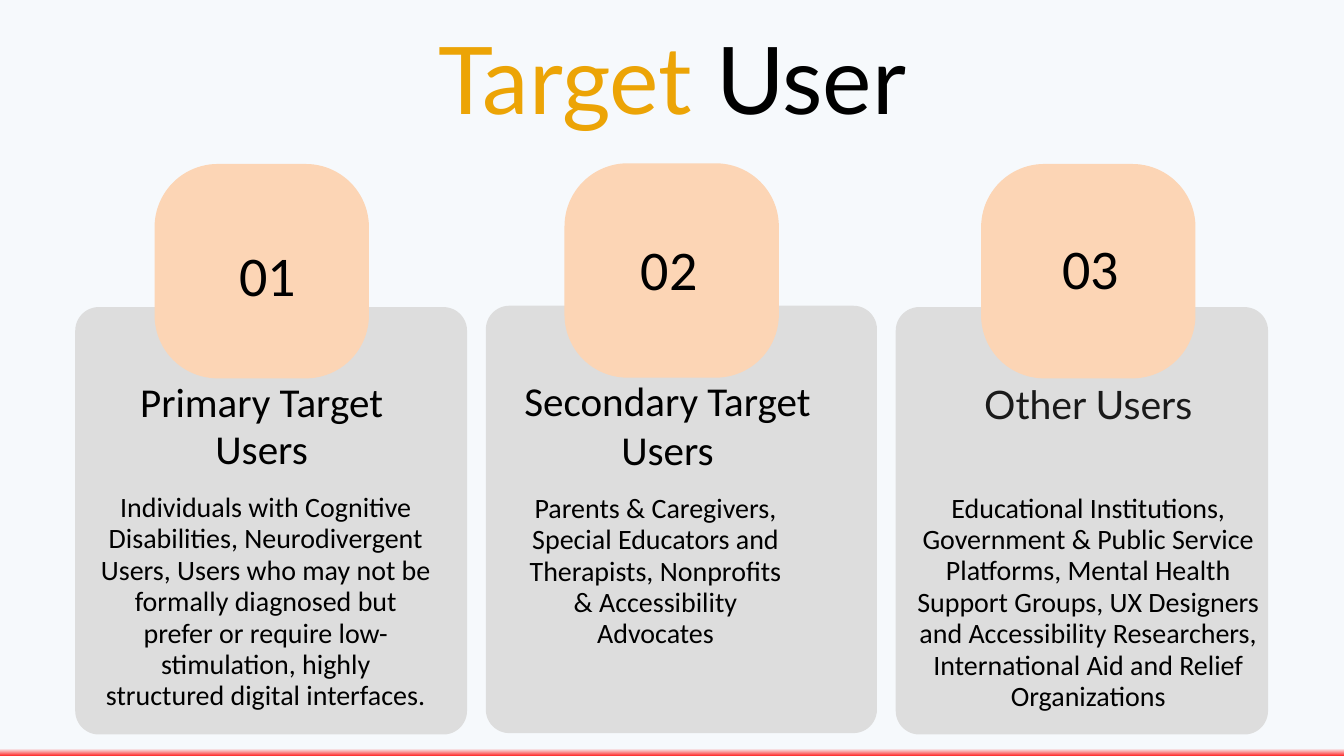
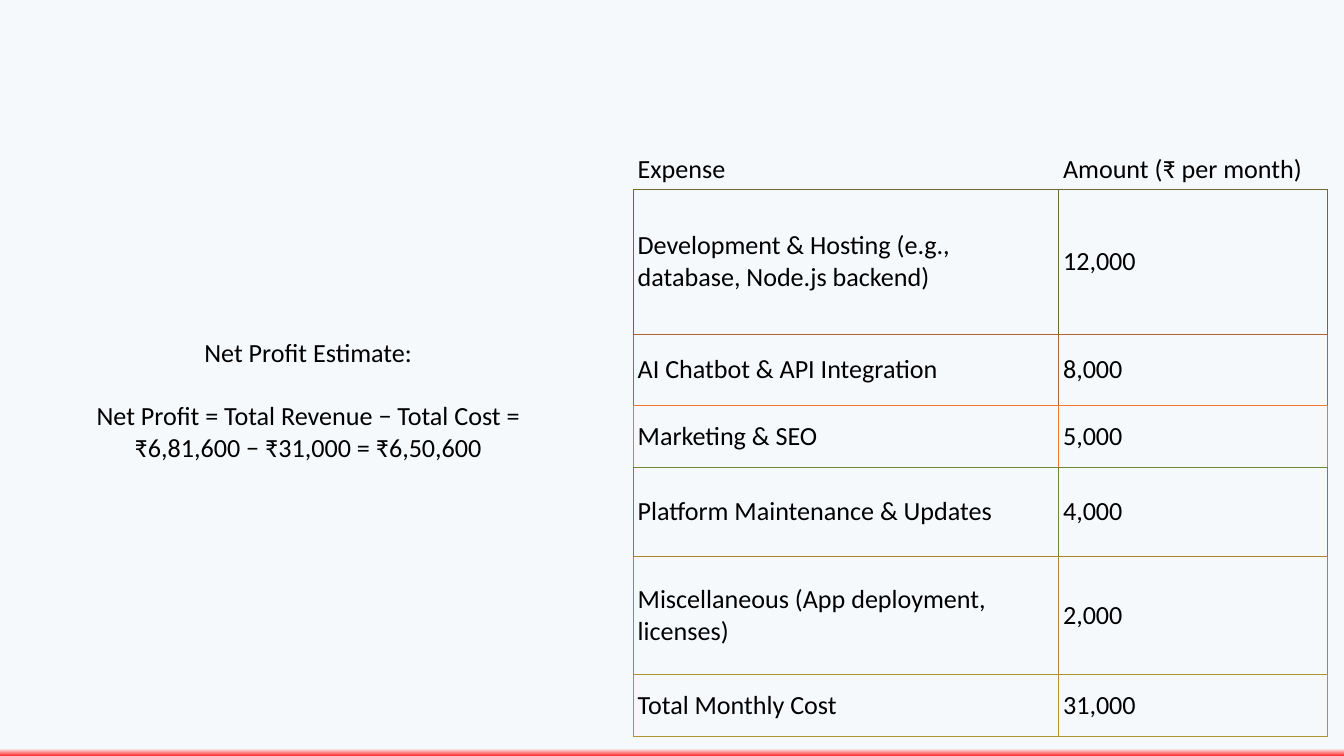
from lxml.etree import SubElement
from pptx import Presentation
from pptx.dml.color import RGBColor
from pptx.enum.shapes import MSO_SHAPE as Shape
from pptx.enum.text import MSO_ANCHOR as Anchor, MSO_AUTO_SIZE as AutoSize, PP_ALIGN as Align
from pptx.oxml.ns import qn
from pptx.util import Pt

PX = 9144  # EMU, 100 px to the inch
SLIDE_SIZE = (2000, 1125)
TITLE_ONLY, BLANK = 5, 6
NO_TABLE_STYLE = "{2D5ABB26-0587-4C30-8999-92F81FD0307C}"

PALE = RGBColor(0xF6, 0xF9, 0xFC)
RED = RGBColor(0xFF, 0x29, 0x29)
GOLD = RGBColor(0xEC, 0xA4, 0x06)
GRAY = RGBColor(0xDD, 0xDD, 0xDD)
PEACH = RGBColor(0xFC, 0xD5, 0xB5)
BLACK = RGBColor(0, 0, 0)
CHARCOAL = RGBColor(0x1A, 0x1A, 0x1A)

TITLE = [("Target ", GOLD), ("User", BLACK)]
TITLE_BOX = (238, 60, 1525, 142)

TILE_SIZE, NUMBER_SIZE = (319, 319), (162, 111)
CARD_HEIGHT, CARD_RADIUS, TILE_RADIUS = 636, 35, 94
CARDS = [
    {
        "card": (112, 457, 583), "tile": (230, 244),
        "number": "01", "number_at": (346, 353),
        "heading": ["Primary Target", "Users"], "heading_box": (123, 563, 533, 140),
        "heading_style": {"size": 44, "spacing": 50.4},
        "body": "Individuals with Cognitive Disabilities, Neurodivergent Users, Users who may "
                "not be formally diagnosed but prefer or require low-stimulation, highly "
                "structured digital interfaces.",
        "body_box": (150, 732, 491, 334),
    },
    {
        "card": (723, 455, 582), "tile": (840, 243),
        "number": "02", "number_at": (944, 344),
        "heading": ["Secondary Target Users"], "heading_box": (730, 559, 527, 148),
        "heading_style": {"size": 44},
        "body": "Parents & Caregivers, Special Educators and Therapists, Nonprofits & "
                "Accessibility Advocates",
        "body_box": (776, 733, 399, 238),
    },
    {
        "card": (1333, 457, 554), "tile": (1460, 244),
        "number": "03", "number_at": (1571, 343),
        "heading": ["Other Users"], "heading_box": (1376, 566, 487, 70),
        "heading_style": {"size": 42, "spacing": 50.4, "font": "Lato", "color": CHARCOAL},
        "body": "Educational Institutions, Government & Public Service Platforms, Mental "
                "Health Support Groups, UX Designers and Accessibility Researchers, "
                "International Aid and Relief Organizations",
        "body_box": (1353, 733, 533, 333),
    },
]

PROFIT = [
    "Net Profit Estimate:",
    "Net Profit = Total Revenue − Total Cost = ₹6,81,600 − ₹31,000 = ₹6,50,600",
]
PROFIT_BOX = (100, 496, 717, 199)

TABLE_AT = (942, 221)
COLUMN_WIDTHS = [633, 400]
# expense, amount, row height, border colour
EXPENSES = [
    ("Expense", "Amount (₹ per month)", 61, None),
    ("Development & Hosting (e.g., database, Node.js backend)", "12,000", 216, "706931"),
    ("AI Chatbot & API Integration", "8,000", 105, "B06331"),
    ("Marketing & SEO", "5,000", 92, "F07831"),
    ("Platform Maintenance & Updates", "4,000", 133, "708831"),
    ("Miscellaneous (App deployment, licenses)", "2,000", 175, "B08331"),
    ("Total Monthly Cost", "31,000", 93, "B09331"),
]


def emu(*lengths):
    return [length * PX for length in lengths]


def set_insets(target, horizontal, vertical):
    target.margin_left = target.margin_right = horizontal * PX
    target.margin_top = target.margin_bottom = vertical * PX


def style_paragraph(paragraph, size, font="Calibri", color=BLACK, align=None, spacing=None):
    paragraph.font.size = Pt(size)
    paragraph.font.name = font
    paragraph.font.color.rgb = color
    paragraph.alignment = align
    if spacing:
        paragraph.line_spacing = Pt(spacing)


def add_text(slide, box, lines, insets=(0, 0), **style):
    frame = slide.shapes.add_textbox(*emu(*box)).text_frame
    frame.word_wrap = True
    frame.auto_size = AutoSize.SHAPE_TO_FIT_TEXT
    set_insets(frame, *insets)
    frame.text = "\n".join(lines)
    for paragraph in frame.paragraphs:
        style_paragraph(paragraph, **style)
    return frame


def add_rounded(slide, box, radius, color):
    shape = slide.shapes.add_shape(Shape.ROUNDED_RECTANGLE, *emu(*box))
    shape.adjustments[0] = radius / min(box[2:])
    shape.shadow.inherit = False
    shape.fill.solid()
    shape.fill.fore_color.rgb = color
    shape.line.fill.background()


def set_master_background(presentation):
    fill = presentation.slide_master.background.fill
    fill.gradient()
    fill.gradient_angle = 270
    for stop, position, color in zip(fill.gradient_stops, (0.99, 1), (PALE, RED)):
        stop.position = position
        stop.color.rgb = color


def add_title(slide):
    title = slide.shapes.title
    title.left, title.top, title.width, title.height = emu(*TITLE_BOX)
    frame = title.text_frame
    frame.auto_size = AutoSize.NONE
    frame.vertical_anchor = Anchor.TOP
    set_insets(frame, 0, 0)
    paragraph = frame.paragraphs[0]
    style_paragraph(paragraph, 100, "Lato", align=Align.CENTER, spacing=100)
    for text, color in TITLE:
        run = paragraph.add_run()
        run.text = text
        run.font.color.rgb = color


def set_border(cell, side, color):
    line = SubElement(cell._tc.get_or_add_tcPr(), qn(f"a:ln{side}"), w=str(Pt(1)))
    fill = SubElement(line, qn("a:solidFill"))
    SubElement(fill, qn("a:srgbClr"), val=color)


def add_expense_table(slide):
    heights = [height for _, _, height, _ in EXPENSES]
    box = (*TABLE_AT, sum(COLUMN_WIDTHS), sum(heights))
    graphic = slide.shapes.add_table(len(EXPENSES), len(COLUMN_WIDTHS), *emu(*box))
    graphic.element.find(f".//{qn('a:tableStyleId')}").text = NO_TABLE_STYLE
    table = graphic.table
    table.first_row = table.horz_banding = False
    for column, width in zip(table.columns, COLUMN_WIDTHS):
        column.width = width * PX

    colors = [color for *_, color in EXPENSES]
    lower_colors = colors[1:] + colors[-1:]
    for row, (*texts, height, color), below in zip(table.rows, EXPENSES, lower_colors):
        row.height = height * PX
        for cell, text in zip(row.cells, texts):
            cell.text = text
            style_paragraph(cell.text_frame.paragraphs[0], 28)
            set_insets(cell, 7, 5 if color else 7)
            cell.vertical_anchor = Anchor.MIDDLE if color else Anchor.TOP
            for side, side_color in zip("LRTB", (color, color, color, below)):
                if side_color:
                    set_border(cell, side, side_color)
            cell.fill.background()


def build_target_users(presentation):
    slide = presentation.slides.add_slide(presentation.slide_layouts[TITLE_ONLY])
    add_title(slide)
    for card in CARDS:
        add_rounded(slide, (*card["card"], CARD_HEIGHT), CARD_RADIUS, GRAY)
        add_rounded(slide, (*card["tile"], *TILE_SIZE), TILE_RADIUS, PEACH)
        add_text(slide, card["heading_box"], card["heading"], align=Align.CENTER,
                 **card["heading_style"])
        add_text(slide, card["body_box"], [card["body"]], size=30, align=Align.CENTER,
                 spacing=33.6)
        add_text(slide, (*card["number_at"], *NUMBER_SIZE), [card["number"]],
                 insets=(10, 5), size=60)


def build_net_profit(presentation):
    slide = presentation.slides.add_slide(presentation.slide_layouts[BLANK])
    frame = add_text(slide, PROFIT_BOX, PROFIT, insets=(10, 5), size=28, align=Align.CENTER)
    frame.paragraphs[1].space_before = Pt(34)
    add_expense_table(slide)


def main():
    presentation = Presentation()
    presentation.slide_width, presentation.slide_height = emu(*SLIDE_SIZE)
    set_master_background(presentation)
    build_target_users(presentation)
    build_net_profit(presentation)
    presentation.save("out.pptx")


if __name__ == "__main__":
    main()
